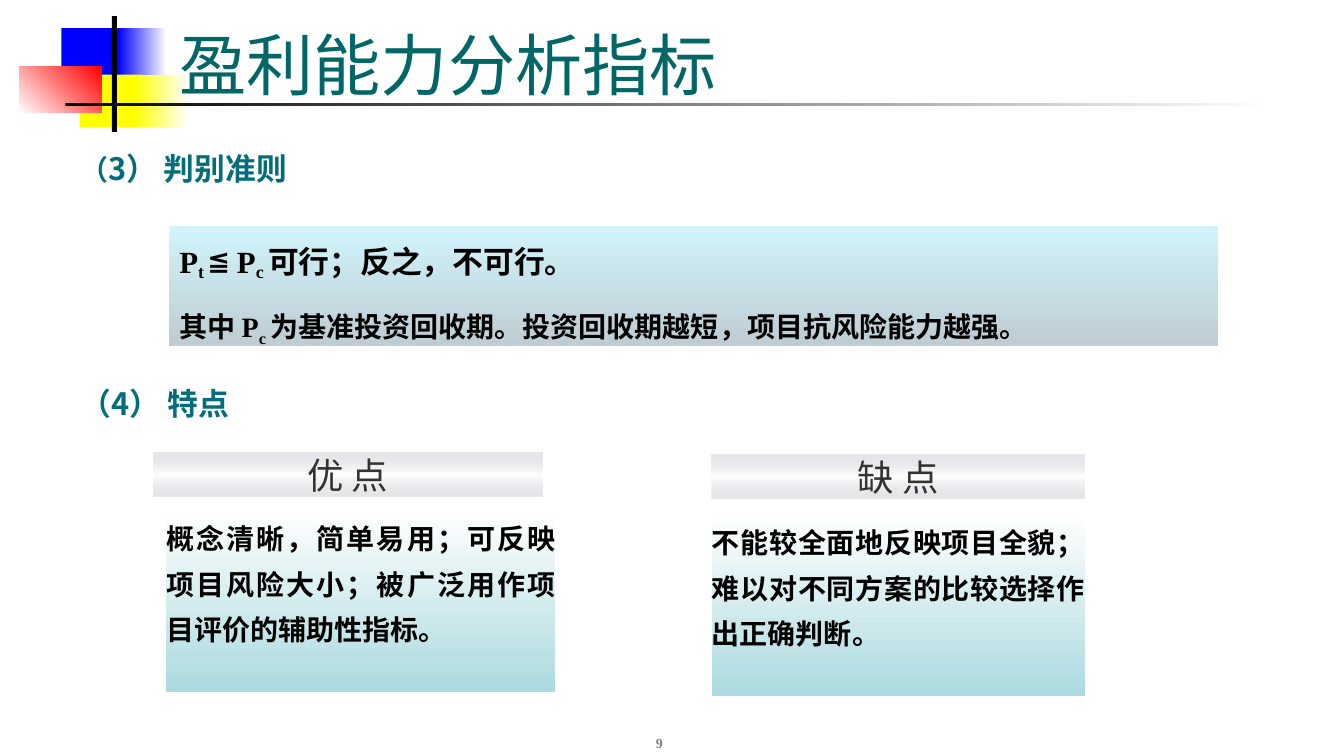
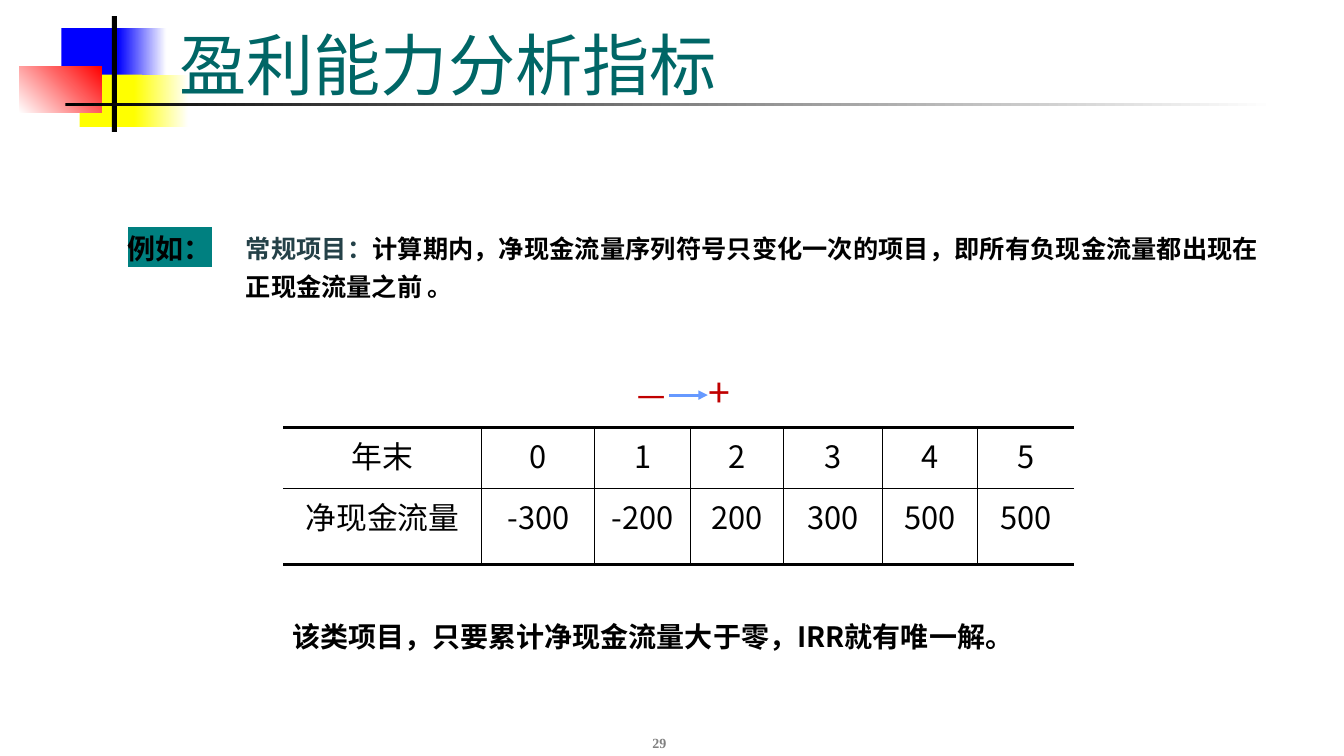
import dataclasses

import pptx
import pptx.dml.color
import pptx.enum.shapes
import pptx.enum.text
import pptx.oxml
import pptx.oxml.ns
import pptx.util
from pptx.util import Inches

ALIGN = pptx.enum.text.PP_ALIGN
ANCHOR = pptx.enum.text.MSO_ANCHOR
SHAPE = pptx.enum.shapes.MSO_SHAPE
CONNECTOR = pptx.enum.shapes.MSO_CONNECTOR
qn = pptx.oxml.ns.qn
NS = pptx.oxml.ns.nsdecls("a")


@dataclasses.dataclass(frozen=True)
class Theme:
    sans: str = "Noto Sans CJK SC"
    serif: str = "Times New Roman"
    black: str = "000000"
    white: str = "FFFFFF"
    blue: str = "0000FF"
    yellow: str = "FFFF00"
    red: str = "FF0000"
    title: str = "006666"
    heading: str = "036D7B"
    label: str = "333333"
    term: str = "244148"
    page: str = "808080"
    highlight: str = "008080"
    sign: str = "C00000"
    arrow: str = "6699FF"
    criterion_fill: tuple = ((0, "D1F4FB"), (100, "BFCCD3"))
    label_fill: tuple = ((0, "CFCBD3", 50), (50, "FFFFFF"), (100, "CFCBD3", 50))
    detail_fill: tuple = ((0, "FFFFFF"), (100, "ABDADF"))
    title_size: int = 48
    plus_size: int = 28
    label_size: int = 26
    heading_size: int = 22
    body_size: int = 20
    note_size: int = 18
    page_size: int = 10


THEME = Theme()


def rgb(value):
    return pptx.dml.color.RGBColor.from_string(value)


# Text
def write_runs(paragraph, parts):
    """Each part is a string or a (string, overrides) pair."""
    for part in parts:
        words, style = (part, {}) if isinstance(part, str) else part
        run = paragraph.add_run()
        run.text = words
        if "size" in style:
            run.font.size = pptx.util.Pt(style["size"])
        if "color" in style:
            run.font.color.rgb = rgb(style["color"])
        if "baseline" in style:
            run._r.get_or_add_rPr().set("baseline", str(style["baseline"] * 1000))
        if "highlight" in style:
            run._r.get_or_add_rPr().append(pptx.oxml.parse_xml(
                f'<a:highlight {NS}><a:srgbClr val="{style["highlight"]}"/></a:highlight>'))


def style_paragraph(paragraph, size, color=THEME.black, font=THEME.sans, bold=False,
                    align=ALIGN.LEFT, spacing=None, before=0):
    paragraph.alignment = align
    paragraph.space_before = pptx.util.Pt(before)
    if spacing:
        paragraph.line_spacing = spacing
    paragraph.font.size = pptx.util.Pt(size)
    paragraph.font.bold = bold
    paragraph.font.color.rgb = rgb(color)
    paragraph.font.name = font
    paragraph._p.pPr.find(qn("a:defRPr")).append(
        pptx.oxml.parse_xml(f'<a:ea {NS} typeface="{THEME.sans}"/>'))


def set_frame(shape, anchor=ANCHOR.TOP, margin=None):
    frame = shape.text_frame
    frame.word_wrap = True
    frame.vertical_anchor = anchor
    if margin is not None:
        frame.margin_left = frame.margin_right = Inches(margin)
        frame.margin_top = frame.margin_bottom = Inches(margin)
    return frame


def add_text(slide, box, parts, size, anchor=ANCHOR.TOP, **style):
    frame = set_frame(slide.shapes.add_textbox(*map(Inches, box)), anchor)
    write_runs(frame.paragraphs[0], parts)
    style_paragraph(frame.paragraphs[0], size, **style)


# Panels
def add_panel(slide, box, fill, angle=90):
    """A rectangle with one colour, or with (position, colour, opacity) stops."""
    panel = slide.shapes.add_shape(SHAPE.RECTANGLE, *map(Inches, box))
    panel.shadow.inherit = False
    panel.line.fill.background()
    if isinstance(fill, str):
        panel.fill.solid()
        panel.fill.fore_color.rgb = rgb(fill)
        return panel
    panel.fill.background()
    stops = "".join(
        f'<a:gs pos="{pos * 1000}"><a:srgbClr val="{color}">'
        + "".join(f'<a:alpha val="{value * 1000}"/>' for value in opacity)
        + "</a:srgbClr></a:gs>"
        for pos, color, *opacity in fill)
    gradient = pptx.oxml.parse_xml(
        f'<a:gradFill {NS} rotWithShape="1"><a:gsLst>{stops}</a:gsLst>'
        f'<a:lin ang="{angle * 60000}" scaled="0"/></a:gradFill>')
    properties = panel.element.spPr
    properties.replace(properties.find(qn("a:noFill")), gradient)
    return panel


def add_label_and_detail(slide, label_box, label, detail_box, detail):
    frame = set_frame(add_panel(slide, label_box, THEME.label_fill), ANCHOR.MIDDLE, 0)
    write_runs(frame.paragraphs[0], [label])
    style_paragraph(frame.paragraphs[0], THEME.label_size, THEME.label, align=ALIGN.CENTER)
    frame = set_frame(add_panel(slide, detail_box, THEME.detail_fill), margin=0)
    write_runs(frame.paragraphs[0], [detail])
    style_paragraph(frame.paragraphs[0], THEME.body_size, font=THEME.serif, bold=True,
                    align=ALIGN.JUSTIFY, spacing=1.35)


def add_arrow(slide, start, end):
    arrow = slide.shapes.add_connector(CONNECTOR.STRAIGHT, *map(Inches, start + end))
    arrow.line.color.rgb = rgb(THEME.arrow)
    arrow.line.width = pptx.util.Pt(2.25)
    properties = arrow.element.spPr
    properties.find(qn("a:ln")).append(
        pptx.oxml.parse_xml(f'<a:tailEnd {NS} type="triangle"/>'))
    properties.append(pptx.oxml.parse_xml(f"<a:effectLst {NS}/>"))


# Table
def set_borders(cell, widths):
    """Widths in points for the left, right, top and bottom; 0 means no line."""
    properties = cell._tc.get_or_add_tcPr()
    for index, (side, width) in enumerate(zip("LRTB", widths)):
        paint = (f'<a:solidFill><a:srgbClr val="{THEME.black}"/></a:solidFill>'
                 if width else "<a:noFill/>")
        properties.insert(index, pptx.oxml.parse_xml(
            f'<a:ln{side} {NS} w="{int(width * 12700)}">{paint}</a:ln{side}>'))


def add_ruled_table(slide, left, top, widths, heights, rows):
    table = slide.shapes.add_table(
        len(rows), len(widths), Inches(left), Inches(top),
        Inches(sum(widths)), Inches(sum(heights))).table
    table.first_row = table.horz_banding = False
    for column, width in zip(table.columns, widths):
        column.width = Inches(width)
    last_row, last_column = len(rows) - 1, len(widths) - 1
    for r, values in enumerate(rows):
        table.rows[r].height = Inches(heights[r])
        for c, value in enumerate(values):
            cell = table.cell(r, c)
            cell.fill.background()
            set_borders(cell, (int(c > 0), int(c < last_column),
                               1 if r else 2.25, 1 if r < last_row else 2.25))
            paragraph = cell.text_frame.paragraphs[0]
            write_runs(paragraph, [value])
            style_paragraph(paragraph, THEME.heading_size, align=ALIGN.CENTER)


# Shared slide frame: coloured blocks, rule, page number and title
def start_slide(deck, page):
    slide = deck.slides.add_slide(deck.slide_layouts[6])

    def fade(color):
        return (0, color), (100, THEME.white)

    for box, fill, angle in (
            ((0.61, 0.28, 0.64, 0.52), THEME.blue, 0),
            ((1.17, 0.28, 0.48, 0.52), fade(THEME.blue), 0),
            ((0.79, 0.74, 0.62, 0.52), THEME.yellow, 0),
            ((1.33, 0.74, 0.54, 0.52), fade(THEME.yellow), 0),
            ((0.19, 0.66, 0.82, 0.46), ((0, THEME.white), (100, THEME.red)), 315),
            ((1.11, 0.16, 0.05, 1.15), THEME.black, 0),
            ((0.65, 1.02, 12, 0.03), fade(THEME.black), 0)):
        add_panel(slide, box, fill, angle)
    add_text(slide, (5.15, 7, 2.78, 0.5), [page], THEME.page_size, ANCHOR.BOTTOM,
             color=THEME.page, font=THEME.serif, bold=True, align=ALIGN.CENTER)
    add_text(slide, (1.68, 0.16, 11.36, 0.92), ["盈利能力分析指标"], THEME.title_size,
             ANCHOR.BOTTOM, color=THEME.title, font=THEME.serif)
    return slide


def build_criterion_slide(deck):
    slide = start_slide(deck, "9")
    heading = dict(color=THEME.heading, bold=True, align=ALIGN.CENTER)
    add_text(slide, (0.01, 1.44, 3.62, 0.47),
             [("（", {"size": THEME.body_size}), "3） 判别准则"],
             THEME.heading_size, **heading)
    add_text(slide, (0.51, 3.77, 2.05, 0.47), ["（4） 特点"], THEME.heading_size, **heading)

    # Decision rule
    frame = set_frame(add_panel(slide, (1.68, 2.24, 10.4, 1.19), THEME.criterion_fill),
                      ANCHOR.MIDDLE)
    rule, explanation = frame.paragraphs[0], frame.add_paragraph()
    low, lower = {"baseline": -15}, {"baseline": -25}
    write_runs(rule, ["P", ("t ", low), "≦ P", ("c ", low), "可行；反之，不可行。"])
    write_runs(explanation, ["其中 P", ("c ", lower),
                             "为基准投资回收期。投资回收期越短，项目抗风险能力越强。"])
    for paragraph, size, before in ((rule, THEME.heading_size, 11),
                                    (explanation, THEME.body_size, 6)):
        style_paragraph(paragraph, size, font=THEME.serif, bold=True,
                        align=ALIGN.JUSTIFY, spacing=1.5, before=before)

    # Strengths and weaknesses
    add_label_and_detail(slide, (1.52, 4.49, 3.86, 0.44), "优 点", (1.65, 5.06, 3.86, 1.81),
                         "概念清晰，简单易用；可反映项目风险大小；被广泛用作项目评价的辅助性指标。")
    add_label_and_detail(slide, (7.06, 4.51, 3.7, 0.44), "缺 点", (7.06, 5.1, 3.7, 1.81),
                         "不能较全面地反映项目全貌；难以对不同方案的比较选择作出正确判断。")


def build_example_slide(deck):
    slide = start_slide(deck, "29")
    prose = dict(bold=True, align=ALIGN.JUSTIFY, spacing=1.25)
    add_text(slide, (1.17, 2.16, 1.17, 0.6),
             [("例如：", {"highlight": THEME.highlight})], THEME.body_size, **prose)
    add_text(slide, (2.34, 2.19, 10.24, 0.82),
             [("常规项目：", {"color": THEME.term}),
              "计算期内，净现金流量序列符号只变化一次的项目，即所有负现金流量都出现在正现金流量之前 。"],
             THEME.note_size, **prose)

    # Sign change from minus to plus
    sign = dict(color=THEME.sign, align=ALIGN.CENTER)
    add_text(slide, (6.11, 3.73, 0.7, 0.4), ["一"], THEME.body_size, **sign)
    add_text(slide, (6.78, 3.6, 0.7, 0.57), ["+"], THEME.plus_size, **sign)
    add_arrow(slide, (6.64, 3.92), (7.02, 3.92))

    # Yearly cash flow
    add_ruled_table(slide, 2.81, 4.24, (1.97, 1.12, 0.95, 0.92, 0.98, 0.95, 0.95), (0.61, 0.75),
                    (("年末", "0", "1", "2", "3", "4", "5"),
                     ("净现金流量", "-300", "-200", "200", "300", "500", "500")))
    add_text(slide, (2.8, 6.01, 8.82, 0.48),
             ["该类项目，只要累计净现金流量大于零，IRR就有唯一解。"], THEME.body_size, **prose)


def main():
    deck = pptx.Presentation()
    deck.slide_width, deck.slide_height = Inches(13.33), Inches(7.5)
    build_criterion_slide(deck)
    build_example_slide(deck)
    deck.save("out.pptx")


if __name__ == "__main__":
    main()
